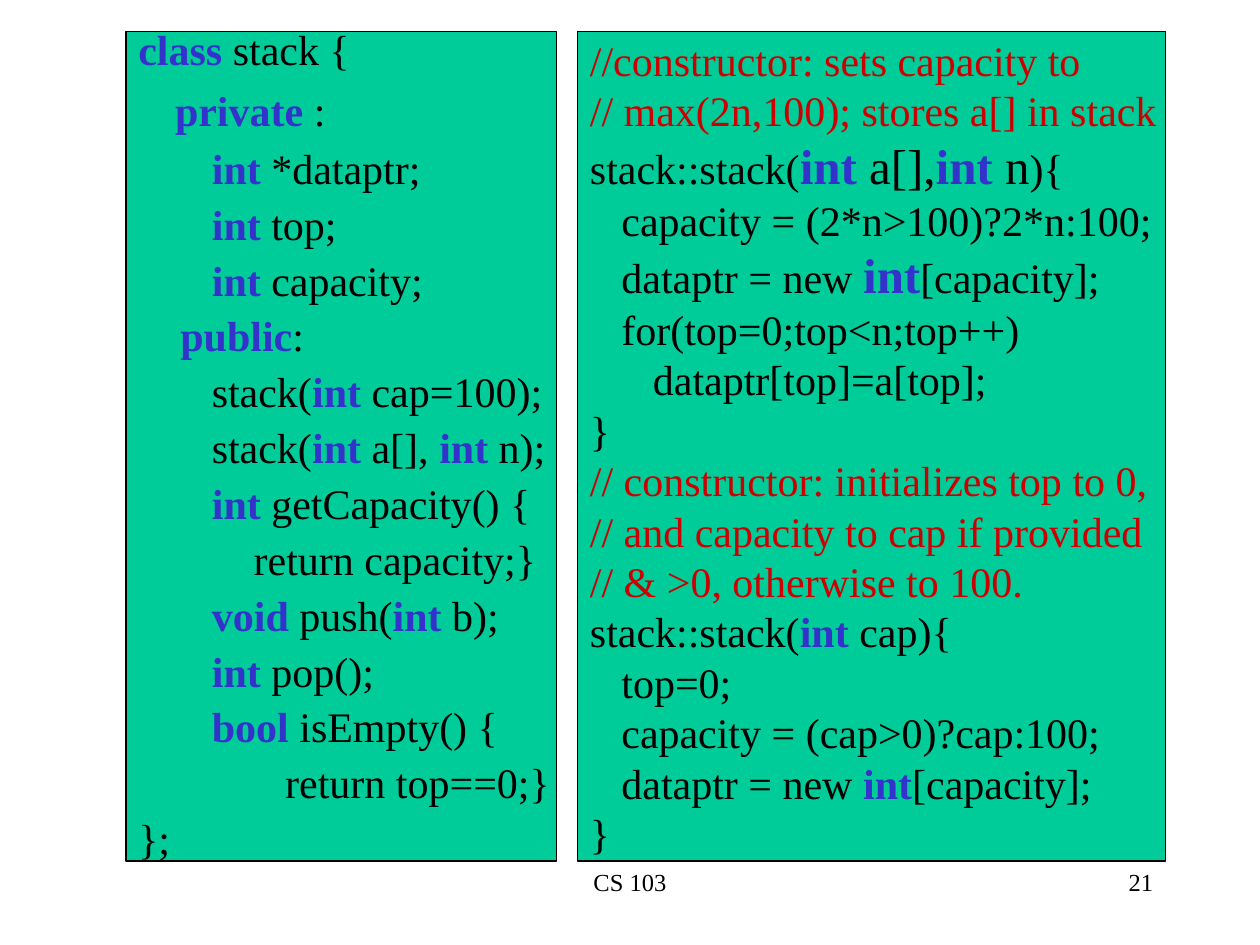
from dataclasses import dataclass

from pptx import Presentation
from pptx.dml.color import RGBColor
from pptx.enum.shapes import MSO_SHAPE
from pptx.enum.text import MSO_ANCHOR, PP_ALIGN
from pptx.util import Pt


@dataclass(frozen=True)
class Theme:
    font: str = "Times New Roman"
    panel: RGBColor = RGBColor(0x00, 0xCC, 0x99)
    ink: RGBColor = RGBColor(0x00, 0x00, 0x00)
    keyword: RGBColor = RGBColor(0x33, 0x33, 0xCC)
    comment: RGBColor = RGBColor(0xCC, 0x00, 0x00)
    code_size: int = 24
    large_size: int = 28
    footer_size: int = 14


# In the listings, |word| is a keyword and ~text~ is set in the large size.
CLASS_DECLARATION = [
    "|class| stack {",
    "~   ~|private| :",
    "       |int| *dataptr;",
    "       |int| top;",
    "       |int| capacity;",
    "    |public|:",
    "       stack(|int| cap=100); ",
    "       stack(|int| a[], |int| n);",
    "       |int| getCapacity() {",
    "           return capacity;}",
    "       |void| push(|int| b);",
    "       |int| pop();",
    "       |bool| isEmpty() {",
    "              return top==0;}",
    "};",
]

CONSTRUCTORS = [
    "//constructor: sets capacity to",
    "// max(2n,100); stores a[] in stack",
    "stack::stack(~|int| a[],|int| n~){",
    "   capacity = (2*n>100)?2*n:100;",
    "   dataptr = new ~|int|~[capacity];",
    "   for(top=0;top<n;top++)",
    "    \tdataptr[top]=a[top];",
    "}",
    "// constructor: initializes top to 0,",
    "// and capacity to cap if provided ",
    "// & >0, otherwise to 100.",
    "stack::stack(|int| cap){",
    "   top=0;",
    "   capacity = (cap>0)?cap:100;",
    "   dataptr = new |int|[capacity];",
    "}",
]


class SlideBuilder:
    def __init__(self, slide, theme):
        self.slide = slide
        self.theme = theme

    def style(self, run, size, color, bold=False):
        run.font.name = self.theme.font
        run.font.size = Pt(size)
        run.font.color.rgb = color
        run.font.bold = bold

    def code_line(self, paragraph, line):
        theme = self.theme
        plain = theme.comment if line.startswith("//") else theme.ink
        for i, chunk in enumerate(line.split("~")):
            size = theme.large_size if i % 2 else theme.code_size
            for j, piece in enumerate(chunk.split("|")):
                if piece:
                    run = paragraph.add_run()
                    run.text = piece
                    is_keyword = j % 2 == 1
                    color = theme.keyword if is_keyword else plain
                    self.style(run, size, color, is_keyword)

    def code_panel(self, left, width, lines, line_spacing=1.0, space_before=0):
        panel = self.slide.shapes.add_shape(
            MSO_SHAPE.RECTANGLE, Pt(left), Pt(18), Pt(width), Pt(474))
        panel.shadow.inherit = False
        panel.fill.solid()
        panel.fill.fore_color.rgb = self.theme.panel
        panel.line.color.rgb = self.theme.ink
        panel.line.width = Pt(0.75)
        frame = panel.text_frame
        frame.word_wrap = False
        frame.vertical_anchor = MSO_ANCHOR.MIDDLE
        for i, line in enumerate(lines):
            paragraph = frame.add_paragraph() if i else frame.paragraphs[0]
            paragraph.alignment = PP_ALIGN.JUSTIFY
            paragraph.line_spacing = line_spacing
            paragraph.space_before = Pt(space_before if i else 0)
            self.code_line(paragraph, line)

    def footer(self, left, width, text, alignment):
        box = self.slide.shapes.add_textbox(
            Pt(left), Pt(492), Pt(width), Pt(36))
        frame = box.text_frame
        frame.word_wrap = True
        frame.text = text
        paragraph = frame.paragraphs[0]
        paragraph.alignment = alignment
        self.style(paragraph.runs[0], self.theme.footer_size, self.theme.ink)


def main():
    deck = Presentation()
    deck.slide_width, deck.slide_height = Pt(720), Pt(540)
    blank_layout = deck.slide_layouts[6]
    builder = SlideBuilder(deck.slides.add_slide(blank_layout), Theme())

    # Course name and page number
    builder.footer(246, 228, "CS 103", PP_ALIGN.CENTER)
    builder.footer(516, 150, "21", PP_ALIGN.RIGHT)

    # Class declaration beside its constructors
    builder.code_panel(72, 246, CLASS_DECLARATION,
                       line_spacing=0.9, space_before=6)
    builder.code_panel(330, 336, CONSTRUCTORS)

    deck.save("out.pptx")


if __name__ == "__main__":
    main()
